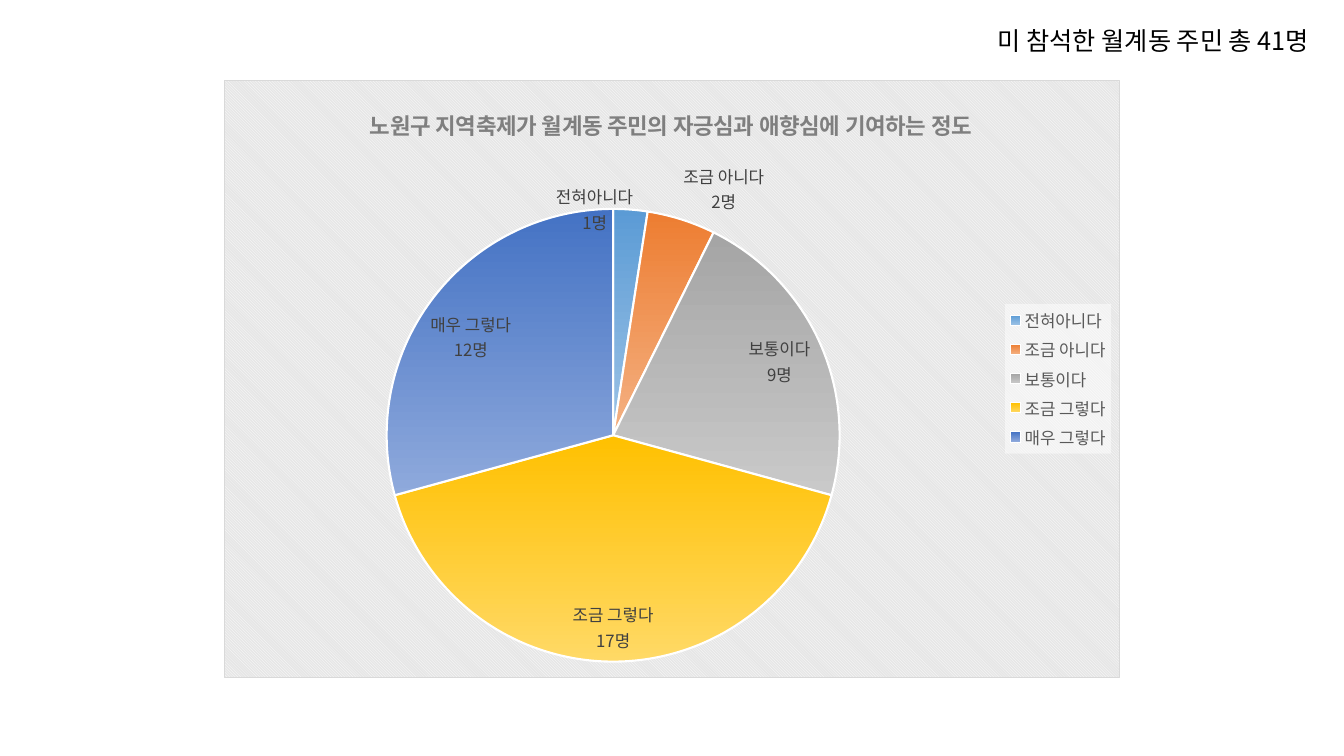
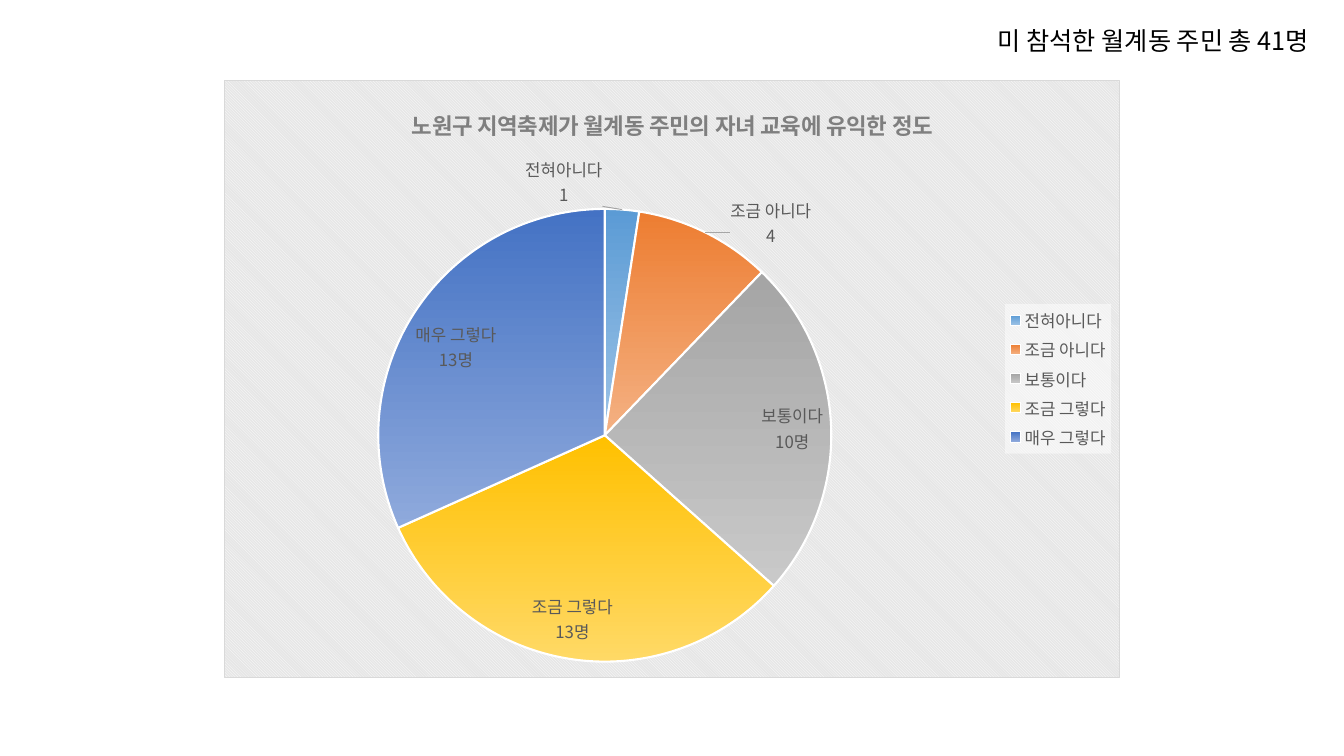
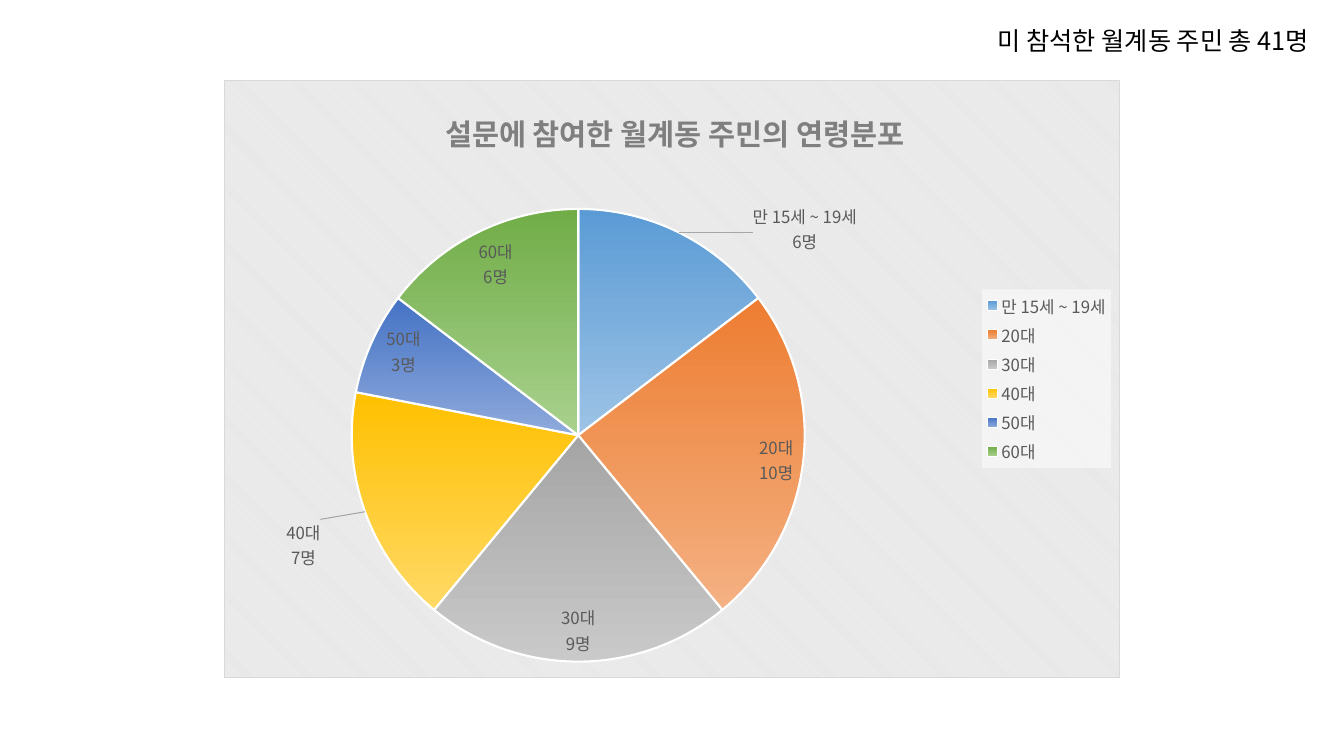
from lxml import etree
from pptx import Presentation
from pptx.chart.data import CategoryChartData
from pptx.dml.color import RGBColor
from pptx.enum.chart import XL_CHART_TYPE, XL_LABEL_POSITION, XL_LEGEND_POSITION
from pptx.enum.text import MSO_AUTO_SIZE
from pptx.oxml import parse_xml
from pptx.oxml.ns import nsdecls, qn
from pptx.util import Pt

PIE = XL_CHART_TYPE.PIE
BEST_FIT = XL_LABEL_POSITION.BEST_FIT
OUTSIDE_END = XL_LABEL_POSITION.OUTSIDE_END
LEGEND_RIGHT = XL_LEGEND_POSITION.RIGHT
GROW = MSO_AUTO_SIZE.SHAPE_TO_FIT_TEXT

# Shared style
FONT = "Noto Sans CJK KR"
BLACK = RGBColor(0x00, 0x00, 0x00)
WHITE = RGBColor(0xFF, 0xFF, 0xFF)
TITLE_GREY = RGBColor(0x7F, 0x7F, 0x7F)
TEXT_GREY = RGBColor(0x59, 0x59, 0x59)
DARK_GREY = RGBColor(0x40, 0x40, 0x40)
STRIPE_GREY = RGBColor(0xE6, 0xE6, 0xE6)
BORDER_GREY = RGBColor(0xD9, 0xD9, 0xD9)
LEADER_GREY = RGBColor(0xA6, 0xA6, 0xA6)
SLICE_GRADIENTS = [
    (RGBColor(0x5B, 0x9B, 0xD5), RGBColor(0x9D, 0xC3, 0xE6)),
    (RGBColor(0xED, 0x7D, 0x31), RGBColor(0xF4, 0xB1, 0x83)),
    (RGBColor(0xA5, 0xA5, 0xA5), RGBColor(0xC9, 0xC9, 0xC9)),
    (RGBColor(0xFF, 0xC0, 0x00), RGBColor(0xFF, 0xD9, 0x66)),
    (RGBColor(0x44, 0x72, 0xC4), RGBColor(0x8F, 0xAA, 0xDC)),
    (RGBColor(0x70, 0xAD, 0x47), RGBColor(0xA9, 0xD1, 0x8E)),
]
CHART_W, CHART_H = 640, 427
PIE_TOP, PIE_SIZE = 92, 324
TITLE_TOP = 16
COUNT_FORMAT = '0"명"'

# Survey results; moved labels are given as index: (right, down, number format)
RESPONDENTS = "미 참석한 월계동 주민 총 41명"
ANSWERS = ["전혀아니다", "조금 아니다", "보통이다", "조금 그렇다", "매우 그렇다"]
AGES = ["만 15세 ~ 19세", "20대", "30대", "40대", "50대", "60대"]
SURVEYS = [
    dict(title="노원구 지역축제가 월계동 주민의 자긍심과 애향심에 기여하는 정도",
         title_size=16, title_left=101, pie_left=116, label_color=DARK_GREY,
         categories=ANSWERS, counts=[1, 2, 9, 17, 12],
         moved={0: (-26, 22, COUNT_FORMAT)}),
    dict(title="노원구 지역축제가 월계동 주민의 자녀 교육에 유익한 정도",
         title_size=16, title_left=131, pie_left=110, label_color=TEXT_GREY,
         categories=ANSWERS, counts=[1, 4, 10, 13, 13],
         moved={0: (-42, 2, "General"), 1: (16, 15, "General")}),
    dict(title="설문에 참여한 월계동 주민의 연령분포",
         title_size=21, title_left=154, pie_left=91, label_color=TEXT_GREY,
         categories=AGES, counts=[6, 10, 9, 7, 3, 6],
         moved={0: (51, 19, COUNT_FORMAT), 3: (-28, 4, COUNT_FORMAT)}),
]


def style_font(font, size, color, bold=False):
    font.name, font.size, font.bold = FONT, Pt(size), bold
    font.color.rgb = color


def manual_layout(left, top, size=None, anchored=True):
    """Chart layout in points; not anchored means an offset."""
    parts = []
    if size:
        parts.append('<c:layoutTarget val="inner"/>')
    if anchored:
        parts.append('<c:xMode val="edge"/><c:yMode val="edge"/>')
    parts.append(f'<c:x val="{left / CHART_W:.4f}"/><c:y val="{top / CHART_H:.4f}"/>')
    if size:
        parts.append(f'<c:w val="{size / CHART_W:.4f}"/><c:h val="{size / CHART_H:.4f}"/>')
    return parse_xml(f'<c:layout {nsdecls("c")}><c:manualLayout>{"".join(parts)}'
                     '</c:manualLayout></c:layout>')


prs = Presentation()
prs.slide_width, prs.slide_height = Pt(960), Pt(540)

for survey in SURVEYS:
    slide = prs.slides.add_slide(prs.slide_layouts[6])

    # Pie chart
    data = CategoryChartData()
    data.categories = survey["categories"]
    data.add_series("Series 1", survey["counts"])
    chart = slide.shapes.add_chart(
        PIE, Pt(160), Pt(57), Pt(CHART_W), Pt(CHART_H), data).chart
    root = chart.element
    style_font(chart.font, 10, BLACK)
    plot = chart.plots[0]
    plot.vary_by_categories = True
    plot_area = root.xpath("c:chart/c:plotArea")[0]
    for layout in plot_area.findall(qn("c:layout")):
        plot_area.remove(layout)
    plot_area.insert(0, manual_layout(survey["pie_left"], PIE_TOP, PIE_SIZE))

    # Striped chart background
    root.xpath("c:chart")[0].addnext(parse_xml(
        f'<c:spPr {nsdecls("c", "a")}><a:pattFill prst="dkDnDiag">'
        f'<a:fgClr><a:srgbClr val="{WHITE}"/></a:fgClr>'
        f'<a:bgClr><a:srgbClr val="{STRIPE_GREY}"/></a:bgClr></a:pattFill>'
        f'<a:ln w="9525"><a:solidFill><a:srgbClr val="{BORDER_GREY}"/></a:solidFill></a:ln>'
        '</c:spPr>'))

    # Chart title
    chart.has_title = True
    heading = chart.chart_title.text_frame
    heading.text = survey["title"]
    style_font(heading.paragraphs[0].font, survey["title_size"], TITLE_GREY, True)
    style_font(heading.paragraphs[0].runs[0].font, survey["title_size"], TITLE_GREY, True)
    title = root.xpath("c:chart/c:title")[0]
    for layout in title.findall(qn("c:layout")):
        title.remove(layout)
    title.find(qn("c:tx")).addnext(manual_layout(survey["title_left"], TITLE_TOP))

    # Legend on a translucent panel
    chart.has_legend = True
    chart.legend.position = LEGEND_RIGHT
    chart.legend.include_in_layout = False
    style_font(chart.legend.font, 12, TEXT_GREY)
    root.xpath("c:chart/c:legend/c:overlay")[0].addnext(parse_xml(
        f'<c:spPr {nsdecls("c", "a")}><a:solidFill><a:srgbClr val="{WHITE}">'
        '<a:alpha val="50000"/></a:srgbClr></a:solidFill></c:spPr>'))

    # Slices
    series = plot.series[0]
    for index in range(len(survey["counts"])):
        slice_format = series.points[index].format
        slice_format.fill.gradient()
        slice_format.fill.gradient_angle = 270
        for stop, color in zip(slice_format.fill.gradient_stops, SLICE_GRADIENTS[index]):
            stop.color.rgb = color
        slice_format.line.color.rgb = WHITE
        slice_format.line.width = Pt(1.5)

    # Category and count labels
    labels = series.data_labels
    style_font(labels.font, 12, survey["label_color"])
    labels.number_format = COUNT_FORMAT
    labels.number_format_is_linked = False
    labels.position = BEST_FIT
    labels.show_value = True
    labels.show_category_name = True
    for index, (right, down, number_format) in survey["moved"].items():
        label = series.points[index].data_label
        style_font(label.font, 12, survey["label_color"])
        label.position = OUTSIDE_END
        label_idx = root.xpath(f'.//c:dLbl/c:idx[@val="{index}"]')[0]
        number = etree.Element(qn("c:numFmt"), formatCode=number_format, sourceLinked="0")
        label_idx.addnext(number)
        label_idx.addnext(manual_layout(right, down, anchored=False))
        label_idx.getparent().find(qn("c:showCatName")).set("val", "1")
    for last_flag in root.xpath(".//c:ser//c:showBubbleSize"):
        separator = etree.Element(qn("c:separator"))
        separator.text = "\n"
        last_flag.addnext(separator)
    for leader_flag in root.xpath(".//c:ser/c:dLbls/c:showLeaderLines"):
        leader_flag.set("val", "1")
        leader_flag.addnext(parse_xml(
            f'<c:leaderLines {nsdecls("c", "a")}><c:spPr><a:ln w="9525"><a:solidFill>'
            f'<a:srgbClr val="{LEADER_GREY}"/></a:solidFill></a:ln></c:spPr></c:leaderLines>'))

    # Number of respondents
    respondents = slide.shapes.add_textbox(Pt(705.6), Pt(14.4), Pt(266.4), Pt(28.8))
    respondents.text_frame.word_wrap = False
    respondents.text_frame.auto_size = GROW
    respondents.text_frame.text = RESPONDENTS
    style_font(respondents.text_frame.paragraphs[0].font, 18, BLACK)

    # Korean glyphs use the same typeface
    for part in (root, slide.shapes.element):
        for latin in part.xpath(".//a:latin"):
            latin.addnext(etree.Element(qn("a:ea"), typeface=FONT))

prs.save("out.pptx")
